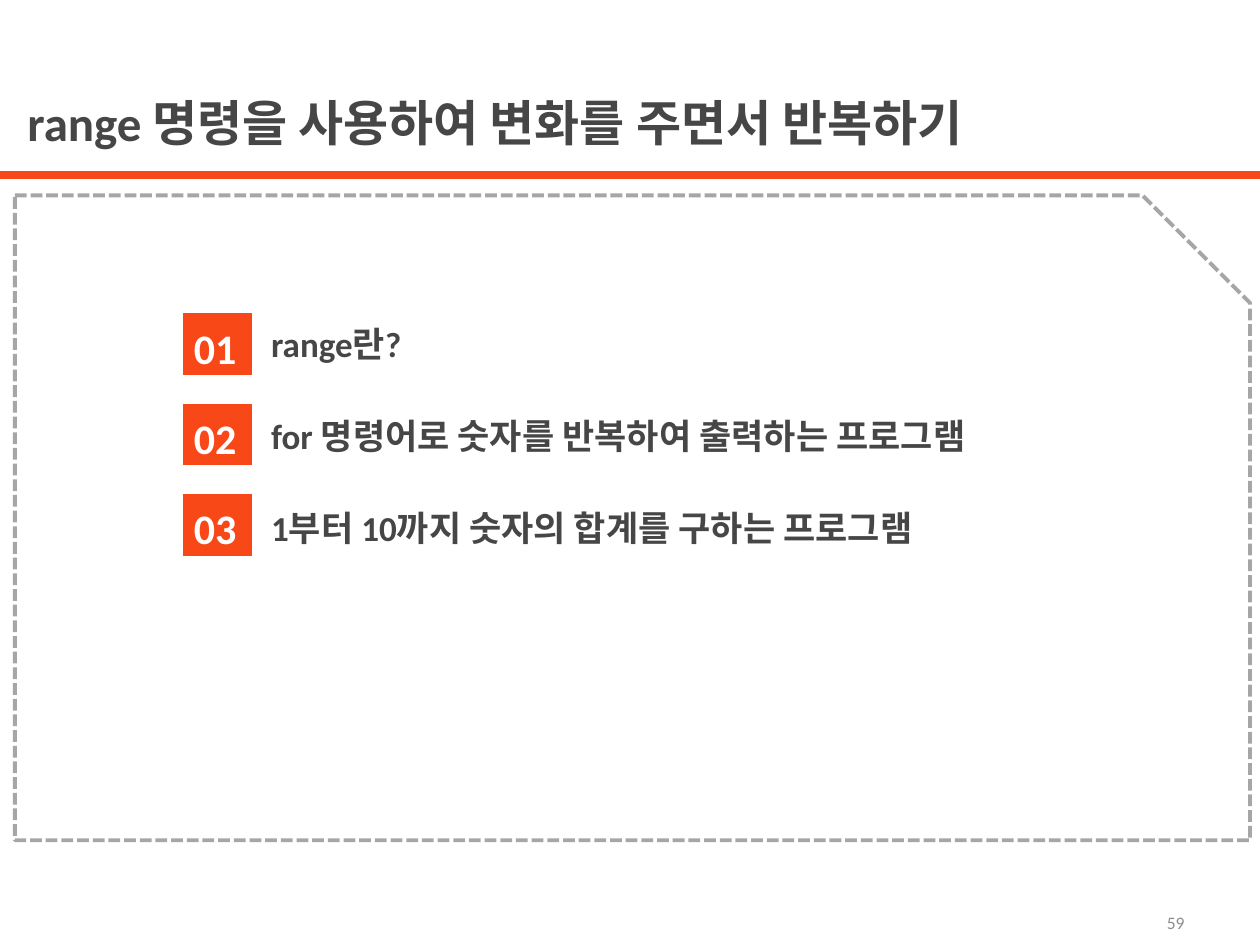
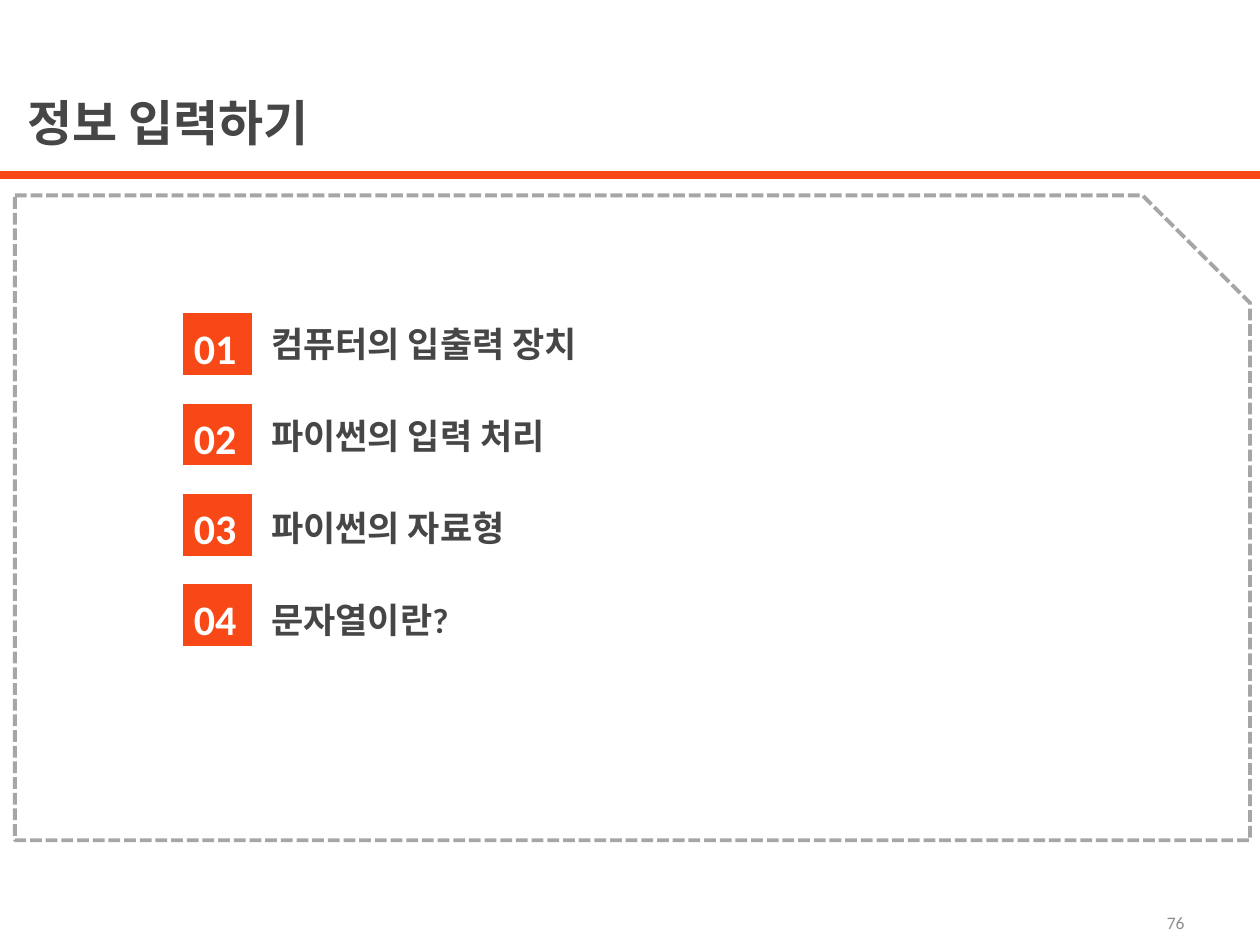
"""Builds two chapter overview slides with numbered topics."""
from lxml.etree import SubElement
from pptx import Presentation
from pptx.dml.color import RGBColor
from pptx.enum.dml import MSO_LINE_DASH_STYLE as Dash
from pptx.enum.shapes import MSO_CONNECTOR as Connector, MSO_SHAPE as Shape
from pptx.enum.text import MSO_ANCHOR as Anchor, MSO_AUTO_SIZE as AutoSize, PP_ALIGN as Align
from pptx.oxml.ns import qn
from pptx.util import Cm, Pt

CHAPTERS = [
    {
        "title": "range 명령을 사용하여 변화를 주면서 반복하기",
        "topics": [
            "range란?",
            "for 명령어로 숫자를 반복하여 출력하는 프로그램",
            "1부터 10까지 숫자의 합계를 구하는 프로그램",
        ],
        "page": "59",
    },
    {
        "title": "정보 입력하기",
        "topics": [
            "컴퓨터의 입출력 장치",
            "파이썬의 입력 처리",
            "파이썬의 자료형",
            "문자열이란?",
        ],
        "page": "76",
    },
]

ACCENT, DARK, GRAY, PAGE_GRAY, WHITE = "F84818", "464646", "A6A6A6", "8D8D8D", "FFFFFF"
FONT = "Calibri"
SLIDE_SIZE = (25.4, 19.05)
TITLE_BOX = (0.3, 1.73, 24, 1.45)
RULE_TOP = 3.53
FRAME_BOX = (0.3, 3.94, 24.9, 13)
LIST_LEFT, LIST_TOP, LIST_WIDTH = 5.21, 6.27, 17.7
LINE_HEIGHT, TOPIC_GAP = Pt(27), Pt(25.6)
BADGE_LEFT, BADGE_TOP, BADGE_PITCH = 3.68, 6.32, 1.82
BADGE_SIZE = (1.4, 1.24)
PAGE_BOX = (18.21, 18.19, 5.92, 0.81)

TITLE_STYLE = {"size": Pt(28), "bold": True}
TOPIC_STYLE = {"size": Pt(20), "bold": True}
BADGE_STYLE = {"size": Pt(24), "bold": True}
PAGE_STYLE = {"size": Pt(10), "bold": False}


def color(hex_value):
    """Turn a hex string into a colour."""
    return RGBColor.from_string(hex_value)


def apply(target, values):
    """Set each named attribute on the target."""
    for name, value in values.items():
        setattr(target, name, value)


def lengths(box):
    """Convert centimetre numbers to lengths."""
    return [Cm(value) for value in box]


def place(shape, box):
    """Move and size a placeholder."""
    apply(shape, dict(zip(("left", "top", "width", "height"), lengths(box))))


def write(shape, lines, style, hex_value, align=Align.LEFT, **frame_values):
    """Fill a shape with one formatted paragraph per line."""
    frame = shape.text_frame
    apply(frame, {"auto_size": AutoSize.NONE, "word_wrap": True,
                  "vertical_anchor": Anchor.TOP, **frame_values})
    for index, line in enumerate(lines):
        paragraph = frame.add_paragraph() if index else frame.paragraphs[0]
        paragraph.alignment = align
        run = paragraph.add_run()
        run.text = line
        apply(run.font, {"name": FONT, **style})
        run.font.color.rgb = color(hex_value)
    return frame.paragraphs


def add_frame(slide):
    """Draw the accent rule and the dashed frame."""
    top = Cm(RULE_TOP)
    rule = slide.shapes.add_connector(Connector.STRAIGHT, 0, top, Cm(SLIDE_SIZE[0]), top)
    SubElement(rule._element.spPr, qn("a:effectLst"))
    frame = slide.shapes.add_shape(Shape.SNIP_1_RECTANGLE, *lengths(FRAME_BOX))
    frame.shadow.inherit = False
    frame.fill.background()
    for shape, hex_value, width in ((rule, ACCENT, 4.5), (frame, GRAY, 2.25)):
        shape.line.color.rgb = color(hex_value)
        shape.line.width = Pt(width)
    # sysDash
    frame.line.dash_style = Dash.SQUARE_DOT


def add_topics(slide, topics):
    """Write the topic list and a numbered badge beside each entry."""
    body = slide.placeholders[1]
    place(body, (LIST_LEFT, LIST_TOP, LIST_WIDTH, BADGE_PITCH * len(topics)))
    for index, paragraph in enumerate(write(body, topics, TOPIC_STYLE, DARK)):
        properties = paragraph._p.get_or_add_pPr()
        properties.set("marL", "0")
        properties.set("indent", "0")
        SubElement(properties, qn("a:buNone"))
        apply(paragraph, {"line_spacing": LINE_HEIGHT,
                          "space_before": TOPIC_GAP if index else Pt(0)})
        badge_box = (BADGE_LEFT, BADGE_TOP + BADGE_PITCH * index, *BADGE_SIZE)
        badge = slide.shapes.add_shape(Shape.FLOWCHART_PROCESS, *lengths(badge_box))
        badge.shadow.inherit = False
        badge.fill.solid()
        badge.fill.fore_color.rgb = color(ACCENT)
        badge.line.fill.background()
        write(badge, [f"{index + 1:02}"], BADGE_STYLE, WHITE, Align.CENTER,
              margin_left=0, margin_right=Cm(0.08), margin_top=Cm(0.18), margin_bottom=0)


def add_chapter(presentation, chapter):
    """Add one chapter overview slide."""
    slide = presentation.slides.add_slide(presentation.slide_layouts[1])
    place(slide.shapes.title, TITLE_BOX)
    write(slide.shapes.title, [chapter["title"]], TITLE_STYLE, DARK)
    add_frame(slide)
    add_topics(slide, chapter["topics"])
    page = slide.shapes.add_textbox(*lengths(PAGE_BOX))
    write(page, [chapter["page"]], PAGE_STYLE, PAGE_GRAY, Align.RIGHT,
          vertical_anchor=Anchor.MIDDLE)


def main():
    """Build and save the presentation."""
    presentation = Presentation()
    presentation.slide_width, presentation.slide_height = lengths(SLIDE_SIZE)
    for chapter in CHAPTERS:
        add_chapter(presentation, chapter)
    presentation.save("out.pptx")


if __name__ == "__main__":
    main()
